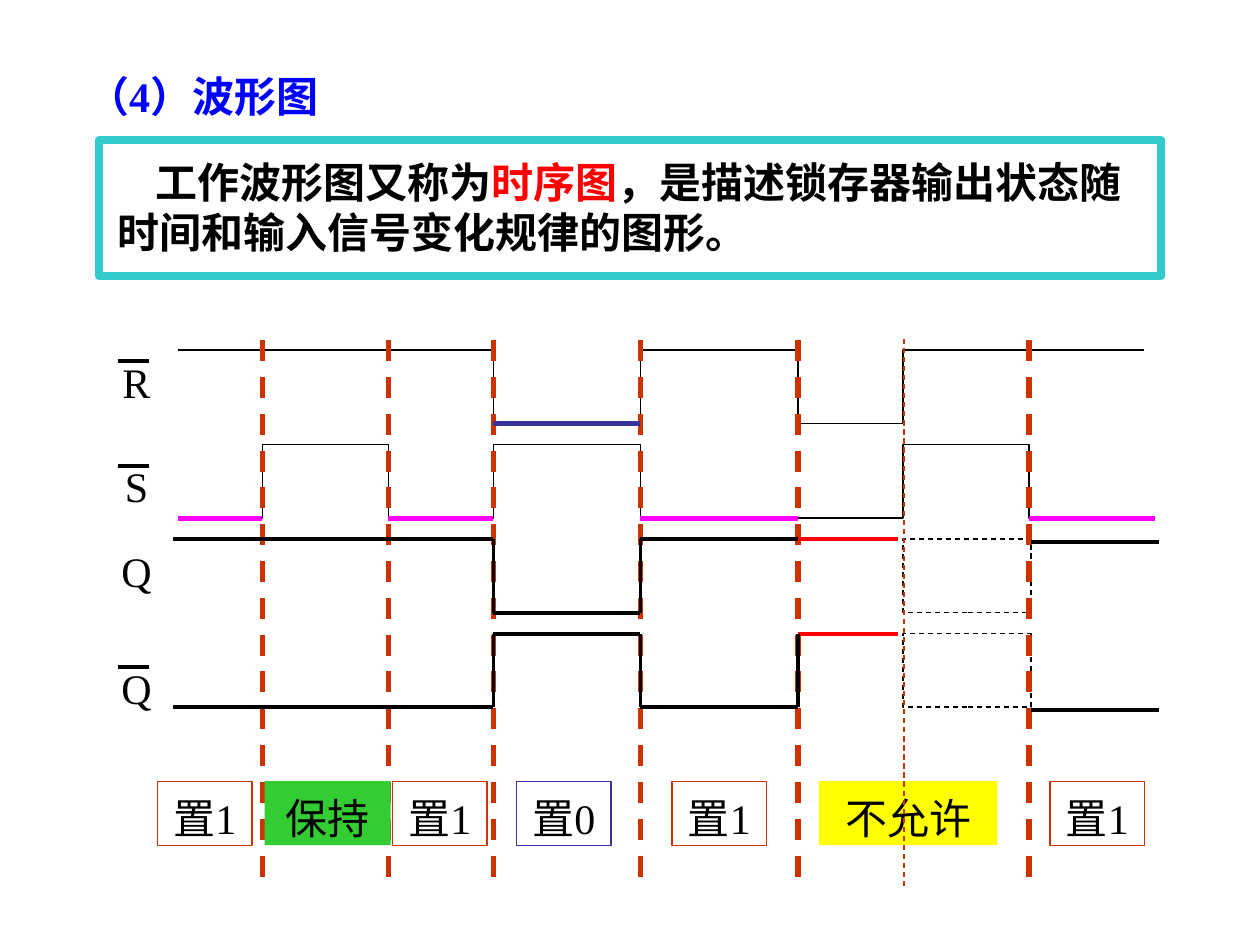
from dataclasses import dataclass
from typing import Any, Optional

import pptx
import pptx.dml.color
import pptx.enum.dml
import pptx.enum.shapes
import pptx.enum.text
import pptx.oxml
import pptx.oxml.ns
import pptx.util

ALIGN = pptx.enum.text.PP_ALIGN
DASH = pptx.enum.dml.MSO_LINE.DASH
RECTANGLE = pptx.enum.shapes.MSO_SHAPE.RECTANGLE
STRAIGHT = pptx.enum.shapes.MSO_CONNECTOR.STRAIGHT

WIDTH, HEIGHT = pptx.util.Inches(10), pptx.util.Inches(7.5)
COLUMNS, ROWS = 120, 90  # square cells of a twelfth of an inch
SIGNAL_TOP, SIGNAL_PITCH, SWING = 33.35, 9, 7
R, S, Q, Q_BAR = range(4)
STATE_TOP, STATE_HEIGHT = 74.4, 6.1


@dataclass(frozen=True)
class Theme:
    latin: str = "Times New Roman"
    chinese: str = "Noto Sans CJK SC"
    size: float = 24
    leading: float = 28.8
    black: str = "000000"
    title: str = "0000FF"
    red: str = "FF0000"
    frame: str = "33CCCC"
    guide: str = "CC3300"
    set_input: str = "FF00FF"
    reset_input: str = "333399"
    hold: str = "33CC33"
    forbidden: str = "FFFF00"
    thin: float = 0.75
    medium: float = 2.25
    thick: float = 3
    heavy: float = 4.5


@dataclass(frozen=True)
class Box:
    left: float
    top: float
    width: float
    height: float


@dataclass(frozen=True)
class Label:
    text: str
    top: float
    bar: Optional[float] = None


@dataclass(frozen=True)
class Span:
    """One stretch of an output; drop lowers it by a part of a row."""
    start: float
    end: float
    high: bool
    color: str
    drop: float = 0


@dataclass(frozen=True)
class State:
    text: str
    left: float
    width: float = 9
    line: Optional[str] = None
    fill: Optional[str] = None


THEME = Theme()
LABELS = [Label("R", 33.4, 34.4), Label("S", 43.3, 44.4),
          Label("Q", 51.4), Label("Q", 62.5, 63.5)]
GUIDES = [25, 37, 47, 61, 76, 98]
SET_INPUTS = [(17, 25), (37, 47), (61, 76), (98, 110)]
RESET_INPUT = (47, 61)
STATES = [
    State("置1", 15, line=THEME.guide),
    State("置0", 49.2, line=THEME.reset_input),
    State("置1", 37.4, line=THEME.guide),
    State("置1", 64, line=THEME.guide),
    State("置1", 100, line=THEME.guide),
    State("保持", 25.2, 12, fill=THEME.hold),
    State("不允许", 78, 17, fill=THEME.forbidden),
]


def x(column: float) -> int:
    return round(WIDTH * column / COLUMNS)


def y(row: float) -> int:
    return round(HEIGHT * row / ROWS)


def level(signal: int, high: bool) -> float:
    """Row of a signal's high or low level."""
    return SIGNAL_TOP + SIGNAL_PITCH * signal + (0 if high else SWING)


def place(box: Box) -> tuple[int, int, int, int]:
    return x(box.left), y(box.top), x(box.width), y(box.height)


def rgb(color: str) -> pptx.dml.color.RGBColor:
    return pptx.dml.color.RGBColor.from_string(color)


def set_attributes(target: Any, values: dict[str, Any]) -> None:
    for name, value in values.items():
        setattr(target, name, value)


def style_line(line: Any, color: str, width: float, dash: Any = None) -> None:
    line.color.rgb = rgb(color)
    set_attributes(line, {"width": pptx.util.Pt(width), "dash_style": dash})


def write(shape: Any, runs: list[tuple[str, str]], align: Any = ALIGN.CENTER,
          bold: bool = False, inset: float = 0.09, indent: float = 0) -> None:
    frame = shape.text_frame
    set_attributes(frame, {
        "word_wrap": True, "auto_size": pptx.enum.text.MSO_AUTO_SIZE.NONE,
        "vertical_anchor": pptx.enum.text.MSO_ANCHOR.TOP,
        "margin_top": pptx.util.Inches(inset)})
    paragraph = frame.paragraphs[0]
    set_attributes(paragraph, {"alignment": align, "space_before": pptx.util.Pt(0),
                               "line_spacing": pptx.util.Pt(THEME.leading)})
    if indent:
        paragraph._p.get_or_add_pPr().set("indent", str(pptx.util.Inches(indent)))
    for text, color in runs:
        run = paragraph.add_run()
        run.text = text
        set_attributes(run.font, {"name": THEME.latin, "bold": bold,
                                  "size": pptx.util.Pt(THEME.size)})
        run.font.color.rgb = rgb(color)
        east_asian = pptx.oxml.parse_xml(
            f'<a:ea {pptx.oxml.ns.nsdecls("a")} typeface="{THEME.chinese}"/>')
        run.font._element.find(pptx.oxml.ns.qn("a:latin")).addnext(east_asian)


def add_rectangle(slide: Any, box: Box, line: Optional[str] = None, width: float = THEME.thin,
                  dash: Any = None, fill: Optional[str] = None) -> Any:
    shape = slide.shapes.add_shape(RECTANGLE, *place(box))
    shape.shadow.inherit = False
    if fill:
        shape.fill.solid()
        shape.fill.fore_color.rgb = rgb(fill)
    else:
        shape.fill.background()
    if line:
        style_line(shape.line, line, width, dash)
    else:
        shape.line.fill.background()
    return shape


def add_line(slide: Any, start: tuple[float, float], end: tuple[float, float],
             color: str, width: float, dash: Any = None) -> None:
    connector = slide.shapes.add_connector(STRAIGHT, x(start[0]), y(start[1]), x(end[0]), y(end[1]))
    style_line(connector.line, color, width, dash)
    connector._element.spPr.append(
        pptx.oxml.parse_xml(f'<a:effectLst {pptx.oxml.ns.nsdecls("a")}/>'))


def add_input(slide: Any, signal: int, high: bool, start: float,
              toggles: list[float], end: float) -> None:
    points = []
    for column in toggles:
        points.append((x(column), y(level(signal, high))))
        high = not high
        points.append((x(column), y(level(signal, high))))
    points.append((x(end), y(level(signal, high))))
    builder = slide.shapes.build_freeform(x(start), points[0][1])
    builder.add_line_segments(points, close=False)
    shape = builder.convert_to_shape()
    shape.shadow.inherit = False
    shape.fill.background()
    style_line(shape.line, THEME.black, THEME.thin)


def add_output(slide: Any, signal: int, spans: list[Span]) -> None:
    """Draw each level, and an edge wherever touching levels differ."""
    for span in spans:
        row = level(signal, span.high) + span.drop
        add_line(slide, (span.start, row), (span.end, row), span.color, THEME.medium)
    for before, after in zip(spans, spans[1:]):
        if before.end == after.start and before.high != after.high:
            add_line(slide, (after.start, level(signal, True)),
                     (after.start, level(signal, False)), THEME.black, THEME.medium)


def output_spans(set_high: bool, last_drop: float) -> list[Span]:
    columns = [16.5, 25, 37, 47, 61, 76]
    spans = [Span(start, end, set_high != (start == 47), THEME.black)
             for start, end in zip(columns, columns[1:])]
    return spans + [Span(76, 85.5, True, THEME.red),
                    Span(98.2, 110.4, set_high, THEME.black, last_drop)]


def main() -> None:
    presentation = pptx.Presentation()
    set_attributes(presentation, {"slide_width": WIDTH, "slide_height": HEIGHT})
    slide = presentation.slides.add_slide(presentation.slide_layouts[5])

    title = slide.shapes.title
    set_attributes(title, dict(zip(("left", "top", "width", "height"),
                                   place(Box(7.1, 5.6, 57.6, 6)))))
    write(title, [("（4）波形图", THEME.title)], ALIGN.LEFT, bold=True)

    definition = slide.shapes.add_textbox(*place(Box(10, 13.8, 100.2, 10.9)))
    write(definition, [("工作波形图又称为", THEME.black), ("时序图", THEME.red),
                       ("，是描述锁存器输出状态随时间和输入信号变化规律的图形。", THEME.black)],
          ALIGN.LEFT, bold=True, indent=0.3)
    add_rectangle(slide, Box(9.4, 13.3, 101.2, 13), THEME.frame, THEME.heavy)

    add_input(slide, S, False, 17, [25, 37, 47, 61, 86, 98], 110)
    add_input(slide, R, True, 17, [47, 61, 76, 86], 109)
    for signal in (Q, Q_BAR):
        add_rectangle(slide, Box(86, level(signal, True), 12.2, SWING), THEME.black, dash=DASH)

    for label in LABELS:
        text_box = slide.shapes.add_textbox(*place(Box(9, label.top, 8, 6)))
        write(text_box, [(label.text, THEME.black)], inset=0.05)
        if label.bar:
            add_line(slide, (11.2, label.bar), (14.2, label.bar), THEME.black, THEME.medium)

    for column in GUIDES:
        add_line(slide, (column, 32.4), (column, 84.4), THEME.guide, THEME.thick, DASH)
    for start, end in SET_INPUTS:
        row = level(S, False)
        add_line(slide, (start, row), (end, row), THEME.set_input, THEME.thick)
    row = level(R, False)
    add_line(slide, (RESET_INPUT[0], row), (RESET_INPUT[1], row), THEME.reset_input, THEME.thick)

    for state in STATES:
        shape = add_rectangle(slide, Box(state.left, STATE_TOP, state.width, STATE_HEIGHT),
                              state.line, fill=state.fill)
        write(shape, [(state.text, THEME.black)])

    add_output(slide, Q, output_spans(True, 0.3))
    add_output(slide, Q_BAR, output_spans(False, 0.25))
    add_line(slide, (86.1, 32.3), (86.1, 84.4), THEME.guide, THEME.thin, DASH)
    presentation.save("out.pptx")


if __name__ == "__main__":
    main()
